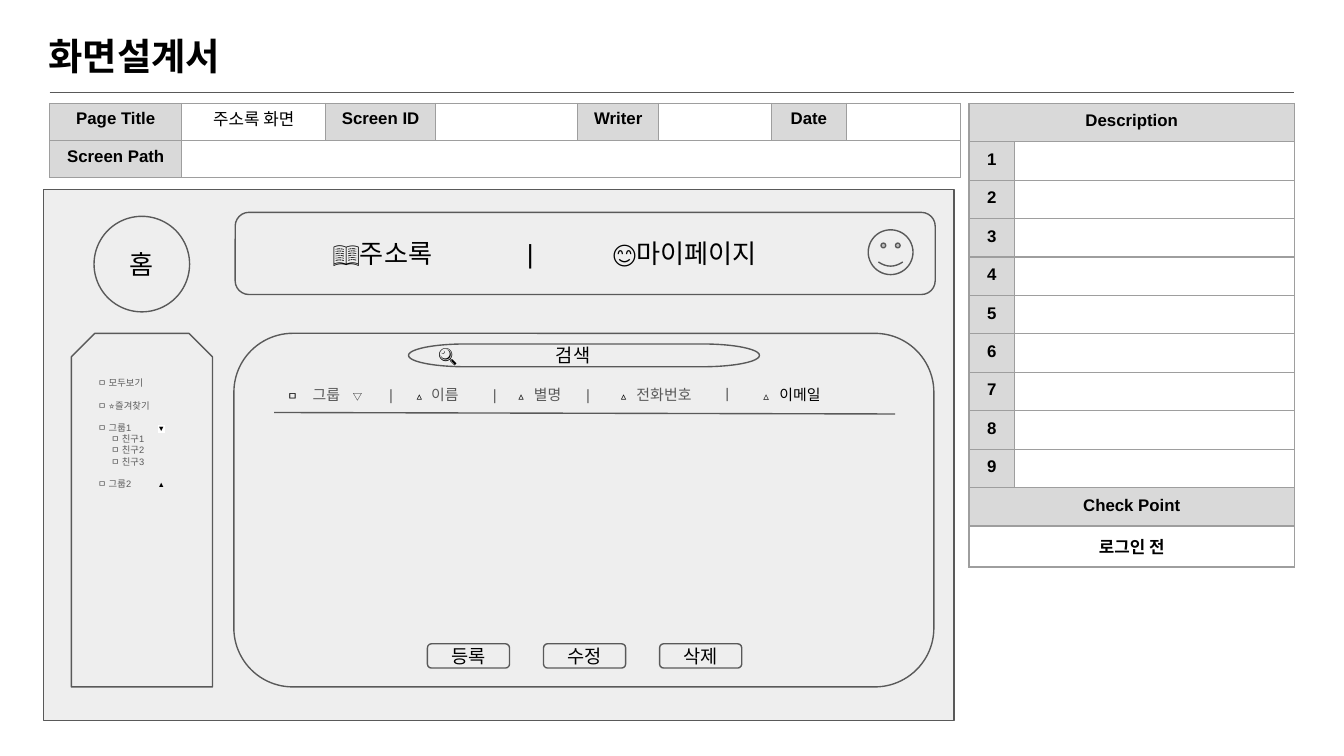
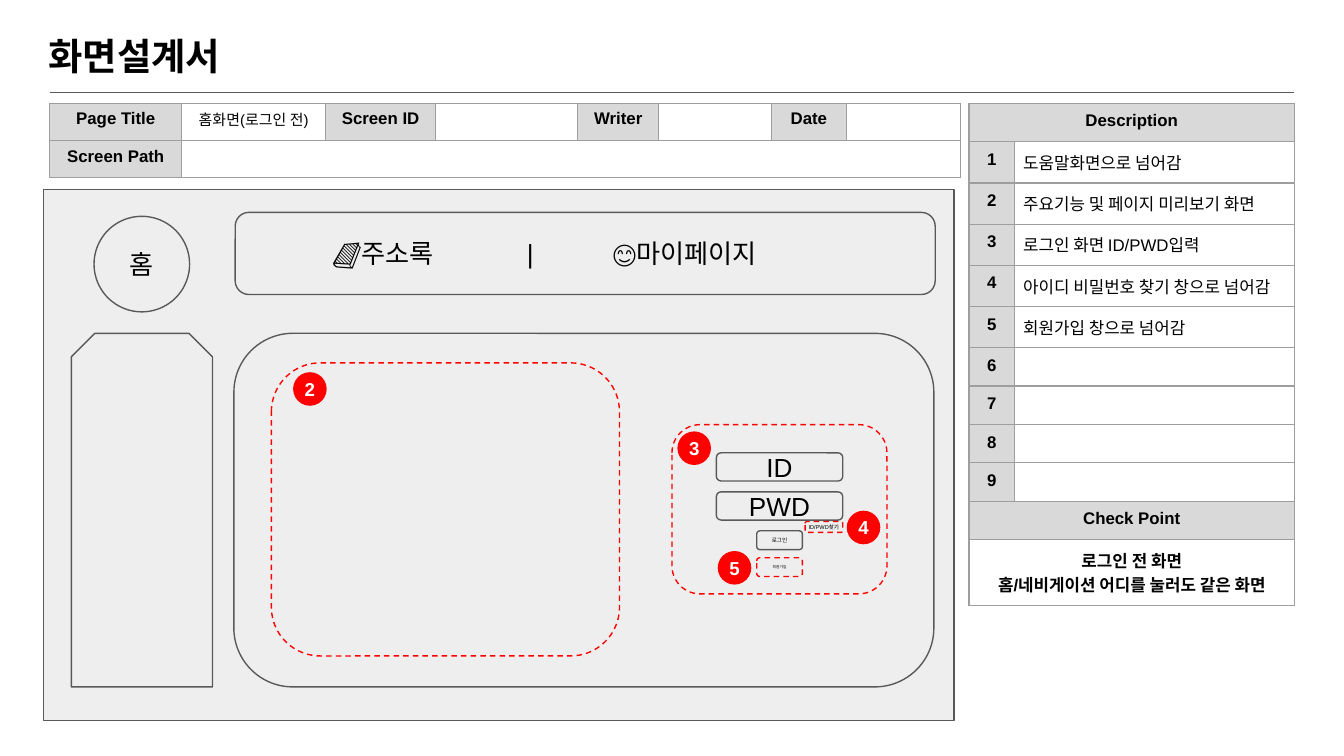
from dataclasses import dataclass
from typing import NamedTuple

from lxml.etree import SubElement
from pptx import Presentation
from pptx.dml.color import RGBColor
from pptx.enum.dml import MSO_LINE
from pptx.enum.shapes import MSO_CONNECTOR, MSO_SHAPE as SHAPE
from pptx.enum.text import MSO_ANCHOR as ANCHOR, MSO_AUTO_SIZE as AUTO, PP_ALIGN as ALIGN
from pptx.oxml.ns import qn
from pptx.util import Pt


@dataclass(frozen=True)
class Theme:
    font: str = "Arial"
    ink: str = "000000"
    grey: str = "595959"
    border: str = "9E9E9E"
    head: str = "D9D9D9"
    panel: str = "EEEEEE"
    white: str = "FFFFFF"
    red: str = "FF0000"
    title: float = 20
    nav: float = 14
    label: float = 10
    table: float = 9
    small: float = 8
    mark: float = 6
    menu: float = 5
    arrow: float = 4
    tiny: float = 3
    mini: float = 2
    stroke: float = 0.75
    inset: float = 7.2
    cell_inset: float = 4.5


T = Theme()


class Run(NamedTuple):
    text: str
    size: float
    color: str = T.ink
    bold: bool = False
    highlight: str = ""


class Para(NamedTuple):
    runs: list[Run]
    before: float = 0


class Box(NamedTuple):
    kind: SHAPE
    x: float
    y: float
    w: float
    h: float
    run: Run | None = None
    fill: str | None = T.panel
    line: str | None = T.grey
    dashed: bool = False
    align: ALIGN = ALIGN.CENTER
    inset: float = T.inset
    stops: tuple[float, ...] = ()


class Cell(NamedTuple):
    lines: tuple[str, ...] = ()
    bold: bool = True
    fill: str | None = T.head
    align: ALIGN = ALIGN.CENTER
    size: float = T.table
    span: int = 1


class Page(NamedTuple):
    name: Cell
    icon: str
    notes: tuple[str, ...]
    checks: tuple[str, ...]
    boxes: list[Box]


BLANK = Cell(fill=None)


# Formatting helpers
def rgb(value: str) -> RGBColor:
    return RGBColor.from_string(value)


def assign(obj, values: dict) -> None:
    for name, value in values.items():
        setattr(obj, name, value)


def set_frame(tf, inset: float, anchor: ANCHOR) -> None:
    sides = ("left", "top", "right", "bottom")
    assign(tf, {f"margin_{s}": Pt(inset) for s in sides})
    assign(tf, {"word_wrap": True, "auto_size": AUTO.NONE, "vertical_anchor": anchor})


def write(tf, paras: list[Para], align: ALIGN = ALIGN.LEFT,
          stops: tuple[float, ...] = (), spacing: float = 1) -> None:
    for i, para in enumerate(paras):
        p = tf.paragraphs[0] if i == 0 else tf.add_paragraph()
        assign(p, {"alignment": align, "line_spacing": spacing, "space_before": Pt(para.before)})
        if stops:
            tabs = SubElement(p._p.get_or_add_pPr(), qn("a:tabLst"))
            for stop in stops:
                SubElement(tabs, qn("a:tab"), pos=str(Pt(stop)), algn="l")
        for run in para.runs:
            r = p.add_run()
            r.text = run.text
            assign(r.font, {"size": Pt(run.size), "bold": run.bold})
            r.font.color.rgb = rgb(run.color)
            if run.highlight:
                mark = SubElement(r.font._element, qn("a:highlight"))
                SubElement(mark, qn("a:srgbClr"), val=run.highlight)
            r.font.name = T.font


# Drawing functions
def draw_box(slide, box: Box) -> None:
    sp = slide.shapes.add_shape(box.kind, *map(Pt, (box.x, box.y, box.w, box.h)))
    sp.shadow.inherit = False
    if box.fill:
        sp.fill.solid()
        sp.fill.fore_color.rgb = rgb(box.fill)
    else:
        sp.fill.background()
    if box.line:
        sp.line.color.rgb = rgb(box.line)
        sp.line.width = Pt(T.stroke)
        if box.dashed:
            sp.line.dash_style = MSO_LINE.DASH
    else:
        sp.line.fill.background()
    if box.run:
        set_frame(sp.text_frame, box.inset, ANCHOR.MIDDLE)
        write(sp.text_frame, [Para([box.run])], box.align, box.stops)


def draw_text(slide, x: float, y: float, w: float, h: float,
              paras: list[Para], stops: tuple[float, ...]) -> None:
    tf = slide.shapes.add_textbox(*map(Pt, (x, y, w, h))).text_frame
    set_frame(tf, T.inset, ANCHOR.TOP)
    write(tf, paras, stops=stops)


def draw_line(slide, x1: float, y1: float, x2: float, y2: float) -> None:
    line = slide.shapes.add_connector(MSO_CONNECTOR.STRAIGHT, *map(Pt, (x1, y1, x2, y2)))
    line.line.color.rgb = rgb(T.grey)
    line.line.width = Pt(T.stroke)
    SubElement(line._element.spPr, qn("a:effectLst"))


def draw_cell(cell, item: Cell, anchor: ANCHOR, spacing: float) -> None:
    sides = ("left", "top", "right", "bottom")
    assign(cell, {f"margin_{s}": Pt(T.cell_inset) for s in sides})
    cell.vertical_anchor = anchor
    tc_pr = cell._tc.get_or_add_tcPr()
    for side in "LRTB":
        ln = SubElement(tc_pr, qn(f"a:ln{side}"), w=str(Pt(T.stroke)))
        SubElement(SubElement(ln, qn("a:solidFill")), qn("a:srgbClr"), val=T.border)
    if item.fill:
        cell.fill.solid()
        cell.fill.fore_color.rgb = rgb(item.fill)
    else:
        cell.fill.background()
    if item.lines:
        paras = [Para([Run(t, item.size, bold=item.bold)]) for t in item.lines]
        write(cell.text_frame, paras, item.align, spacing=spacing)
    else:
        SubElement(cell.text_frame.paragraphs[0]._p, qn("a:endParaRPr"), sz=str(int(T.table * 100)))


def draw_table(slide, x: float, y: float, widths: list[float], heights: list[float],
               rows: list[list[Cell]], anchor: ANCHOR, spacing: float = 1) -> None:
    frame = slide.shapes.add_table(len(heights), len(widths),
                                   *map(Pt, (x, y, sum(widths), sum(heights))))
    tbl = frame.table
    assign(tbl, {"first_row": False, "horz_banding": False})
    for col, width in zip(tbl.columns, widths):
        col.width = Pt(width)
    for i, (height, row) in enumerate(zip(heights, rows)):
        tbl.rows[i].height = Pt(height)
        j = 0
        for item in row:
            if item.span > 1:
                tbl.cell(i, j).merge(tbl.cell(i, j + item.span - 1))
            for k in range(item.span):
                draw_cell(tbl.cell(i, j + k), item if k == 0 else BLANK._replace(fill=item.fill),
                          anchor, spacing)
            j += item.span


# Parts every page shares
def draw_page(prs, page: Page):
    slide = prs.slides.add_slide(prs.slide_layouts[5])
    title = slide.shapes.title
    assign(title, {"left": Pt(18.7), "top": Pt(10.8), "width": Pt(671), "height": Pt(45.4)})
    set_frame(title.text_frame, T.inset, ANCHOR.TOP)
    write(title.text_frame, [Para([Run("화면설계서", T.title, bold=True)])])
    draw_line(slide, 26.6, 49.7, 693.4, 49.7)

    info = [Cell(("Page Title",)), page.name]
    for label in ("Screen ID", "Writer", "Date"):
        info += [Cell((label,)), BLANK]
    draw_table(slide, 26.6, 55.4, [70.8, 77.1, 58.9, 76.2, 43.3, 60.3, 40.4, 61.2], [13, 20],
               [info, [Cell(("Screen Path",)), BLANK._replace(span=7)]], ANCHOR.MIDDLE, 0.5)

    notes = [[Cell(("Description",), span=2)]]
    for i in range(9):
        note = page.notes[i:i + 1]
        notes.append([Cell((str(i + 1),)), Cell(note, False, None, ALIGN.LEFT)])
    notes += [[Cell(("Check Point",), span=2)], [Cell(page.checks, fill=T.white, span=2)]]
    draw_table(slide, 519.1, 55.4, [24.5, 149.8], [20.6] * len(notes), notes, ANCHOR.TOP)

    wireframe = [
        Box(SHAPE.RECTANGLE, 23.2, 101.5, 488, 284.4),
        Box(SHAPE.ROUNDED_RECTANGLE, 126, 113.8, 375, 44,
            Run(f"\t{page.icon}주소록\t|\t😊마이페이지", T.nav),
            align=ALIGN.LEFT, stops=(43, 147, 193)),
        Box(SHAPE.OVAL, 50.4, 115.9, 51.2, 51.2, Run("홈", T.nav)),
        Box(SHAPE.SNIP_2_SAME_RECTANGLE, 38.2, 178.6, 75.6, 189.4),
        Box(SHAPE.ROUNDED_RECTANGLE, 125.3, 178.6, 375, 189.4),
    ]
    for box in wireframe + page.boxes:
        draw_box(slide, box)
    return slide


# Address book: group menu and list headings
def draw_address_book(slide) -> None:
    def entry(text: str, before: float = 0, arrow: Run | None = None) -> Para:
        runs = [Run(text, T.menu, T.grey)]
        return Para(runs + [arrow] if arrow else runs, before)

    gap = 6
    menu = [entry("ㅁ 모두보기"), entry("ㅁ ⭐즐겨찾기", gap),
            entry("ㅁ 그룹1\t", gap, Run("▼", T.arrow, highlight=T.white))]
    menu += [entry(f"\tㅁ 친구{n}") for n in (1, 2, 3)]
    menu.append(entry("ㅁ 그룹2\t", gap, Run("▲", T.arrow)))
    draw_text(slide, 45.4, 195.1, 51.1, 158.4, menu, (7, 32))

    headings = [Run("ㅁ", T.mark), Run("\t그룹", T.small, T.grey), Run("\t▽", T.menu)]
    for bar, name, color in (("|", "이름", T.grey), ("|", "별명", T.grey),
                             ("|", "전화번호", T.grey), ("ㅣ", "이메일", T.ink)):
        headings += [Run(f"\t{bar}", T.small, T.grey), Run("\t▵", T.mark),
                     Run(f"\t{name}", T.small, color)]
    draw_text(slide, 146.9, 199.4, 332.6, 18, [Para(headings)],
              (13.5, 35, 54.5, 68.5, 77, 110, 123, 132, 160, 178, 187, 232, 255, 263.5))
    draw_line(slide, 146.9, 221, 479.5, 221.8)


def button(x: float, y: float, w: float, h: float, text: str, size: float) -> Box:
    return Box(SHAPE.ROUNDED_RECTANGLE, x, y, w, h, Run(text, size))


def red_area(x: float, y: float, w: float, h: float, fill: str | None = T.panel) -> Box:
    return Box(SHAPE.ROUNDED_RECTANGLE, x, y, w, h, fill=fill, line=T.red, dashed=True)


def badge(x: float, y: float, number: int) -> Box:
    return Box(SHAPE.OVAL, x, y, 18, 18, Run(str(number), T.label, T.white, True),
               fill=T.red, line=None, inset=0)


ADDRESS_BOOK = Page(
    Cell(("주소록 화면",), False, None), "📖", (), ("로그인 전",),
    [Box(SHAPE.SMILEY_FACE, 465.1, 123.1, 24, 24),
     Box(SHAPE.FLOWCHART_TERMINATOR, 218.9, 184.3, 188, 12.2, Run("🔍\t검색", T.label),
         align=ALIGN.LEFT, stops=(63,))]
    + [button(229 + 62.2 * i, 344.9, 44, 13, text, T.label)
       for i, text in enumerate(("등록", "수정", "삭제"))])

HOME = Page(
    Cell(("홈화면(로그인 전)",), False, None, size=T.small), "📗",
    ("도움말화면으로 넘어감", "주요기능 및 페이지 미리보기 화면", "로그인 화면 ID/PWD입력",
     "아이디 비밀번호 찾기 창으로 넘어감", "회원가입 창으로 넘어감"),
    ("로그인 전 화면", "홈/네비게이션 어디를 눌러도 같은 화면"),
    [red_area(145.4, 194.4, 186.5, 157),
     red_area(360, 227.5, 115.2, 90.7),
     button(383.8, 263.5, 67.7, 15.1, "PWD", T.nav),
     button(383.8, 242.6, 67.7, 15.1, "ID", T.nav),
     button(405.4, 284.4, 24.5, 10.1, "로그인", T.tiny),
     red_area(405.4, 298.8, 24.5, 10.1)._replace(run=Run("회원가입", T.mini)),
     button(423.4, 279.4, 36, 5.8, "ID/PWD찾기", T.tiny)._replace(fill=None, line=None),
     badge(157, 199.4, 2), badge(362.9, 231.1, 3), badge(384.5, 295.2, 5),
     red_area(431.3, 279.4, 20.2, 5.8, None),
     badge(453.6, 273.6, 4)])


def main() -> None:
    prs = Presentation()
    assign(prs, {"slide_width": Pt(720), "slide_height": Pt(405)})
    draw_address_book(draw_page(prs, ADDRESS_BOOK))
    draw_page(prs, HOME)
    prs.save("out.pptx")


if __name__ == "__main__":
    main()
